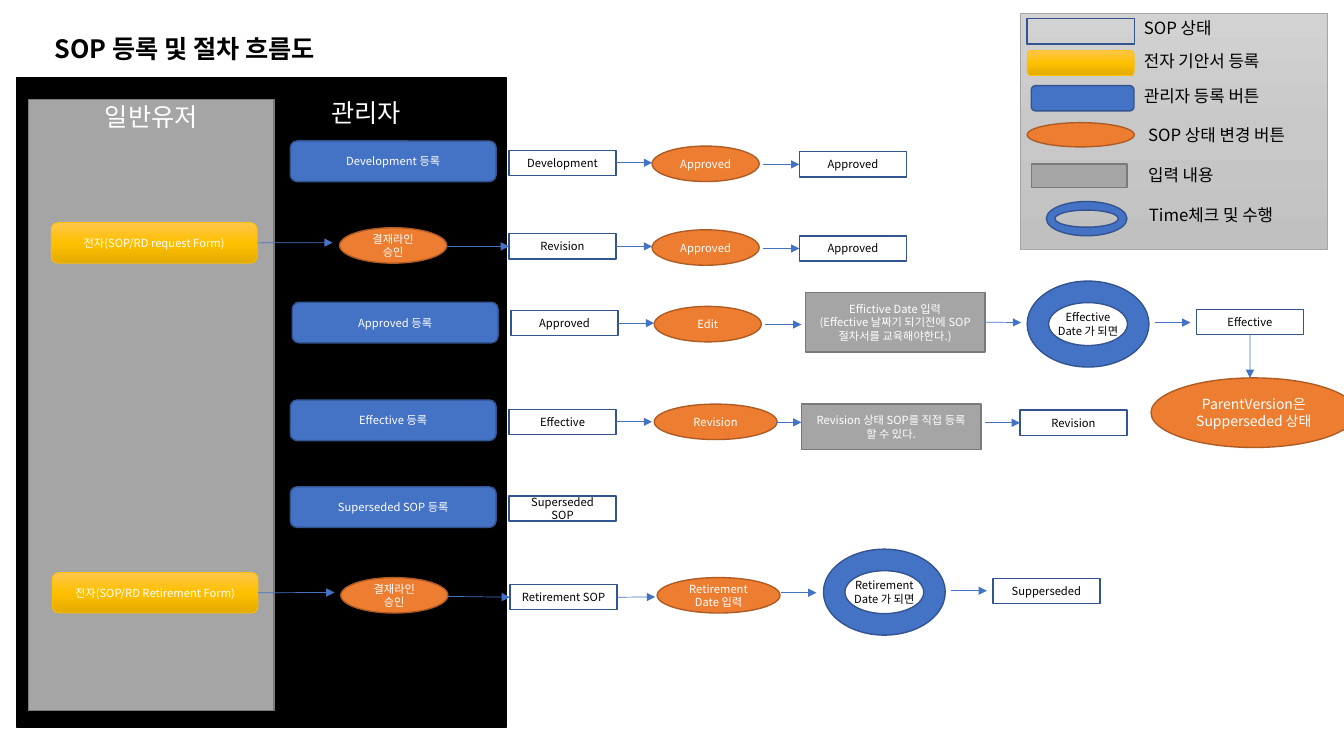
from copy import deepcopy
from pptx import Presentation
from pptx.dml.color import RGBColor
from pptx.enum.shapes import MSO_CONNECTOR as LINK, MSO_SHAPE as SHAPE
from pptx.enum.text import MSO_ANCHOR as ANCHOR, PP_ALIGN as ALIGN
from pptx.oxml.ns import qn
from pptx.util import Pt

FONT = "Noto Sans CJK KR"
BLACK = RGBColor(0x00, 0x00, 0x00)
WHITE = RGBColor(0xFF, 0xFF, 0xFF)
BLUE = RGBColor(0x44, 0x72, 0xC4)
NAVY = RGBColor(0x32, 0x54, 0x91)
ORANGE = RGBColor(0xED, 0x7D, 0x31)
RUST = RGBColor(0xAF, 0x5C, 0x24)
GRAY = RGBColor(0xA5, 0xA5, 0xA5)
DARK_GRAY = RGBColor(0x7A, 0x7A, 0x7A)
GOLD = RGBColor(0xFF, 0xC0, 0x00)
GOLD_FADE = (RGBColor(0xFF, 0xC6, 0x4B), GOLD, RGBColor(0xE3, 0xAB, 0x00))
SILVER_FADE = (RGBColor(0xD2, 0xD2, 0xD2), RGBColor(0xC8, 0xC8, 0xC8), RGBColor(0xC0, 0xC0, 0xC0))

TITLE = "SOP 등록 및 절차 흐름도"

# kind: preset, fill, line, line width, text colour, usual width, usual height
KINDS = {
    "state": (SHAPE.RECTANGLE, None, NAVY, 1, BLACK, 76.5, 18),
    "form": (SHAPE.ROUNDED_RECTANGLE, GOLD_FADE, GOLD, 0.5, WHITE, 147, 29),
    "button": (SHAPE.ROUNDED_RECTANGLE, BLUE, NAVY, 1, WHITE, 147, 29),
    "change": (SHAPE.OVAL, ORANGE, RUST, 1, WHITE, 76.5, 25.3),
    "note": (SHAPE.FLOWCHART_PROCESS, GRAY, DARK_GRAY, 1, WHITE, 128.2, 42.5),
    "check": (SHAPE.DONUT, BLUE, NAVY, 1, BLACK, 87, 61.4),
    "admin panel": (SHAPE.RECTANGLE, BLACK, BLACK, 1, WHITE, 349.2, 464.4),
    "user panel": (SHAPE.RECTANGLE, GRAY, DARK_GRAY, 1, WHITE, 175.7, 436.3),
    "legend panel": (SHAPE.RECTANGLE, SILVER_FADE, GRAY, 0.5, BLACK, 219.6, 168.5),
}

# kind, text, left, middle, then any unusual size
STEPS = [
    ("button", "Development 등록", 207.4, 115.2),
    ("state", "Development", 363.6, 116.3),
    ("change", "Approved", 465.8, 117),
    ("state", "Approved", 571, 117.4),
    ("form", "전자(SOP/RD request Form)", 36.7, 173.5),
    ("change", "결재라인 승인", 242.6, 175.3),
    ("state", "Revision", 363.6, 176),
    ("change", "Approved", 465.8, 176.8),
    ("state", "Approved", 571, 177.5),
    ("button", "Approved 등록", 208.8, 230.4),
    ("state", "Approved", 365, 230.8),
    ("change", "Edit", 467.3, 231.5),
    ("note", "Effictive Date 입력\n(Effective 날짜기 되기전에 SOP절차서를 교육해야한다.)", 575.3, 230.1),
    ("check", "Effective Date 가 되면", 733.7, 231.5),
    ("state", "Effective", 854.6, 230),
    ("button", "Effective 등록", 207.4, 300.2),
    ("state", "Effective", 363.6, 301.3),
    ("change", "Revision", 467.3, 301.3, 87.8),
    ("note", "Revision 상태 SOP를 직접 등록 할 수 있다.", 572.4, 304.9, 128.2, 32.4),
    ("state", "Revision", 728.6, 302),
    ("button", "Superseded SOP 등록", 207.4, 362.2),
    ("state", "Superseded SOP", 363.6, 363.2),
    ("form", "전자(SOP/RD Retirement Form)", 37.4, 423.4),
    ("change", "결재라인 승인", 243.4, 425.2),
    ("state", "Retirement SOP", 364.3, 426.6),
    ("change", "Retirement Date 입력", 469.4, 425.2, 87.8),
    ("check", "Retirement Date 가 되면", 588.2, 423),
    ("state", "Supperseded", 709.2, 422.3),
]
OUTCOME = ("change", "ParentVersion은 Supperseded 상태", 822.2, 294.8, 146.9, 49.7)

# start x, end x, y
FLOWS = [
    (440, 465.8, 116.3), (545, 571, 117.4),
    (184, 237.6, 173.3), (319, 363.6, 176), (440, 465.8, 176), (545, 571, 177.5),
    (441.4, 467.3, 230.8), (546.5, 572.4, 231.8), (703.5, 729.4, 230.4), (825.1, 850.3, 230.4),
    (440, 465.8, 301.3), (554.4, 572.4, 301.7), (703.4, 728.6, 302),
    (185, 239, 423.2), (319.7, 364.3, 426), (441.4, 468, 426.4),
    (558, 583.2, 423.4), (679, 704.9, 422),
]
OUTCOME_FLOW = (892.8, 239, 892.8, 270)

# kind, label, left, middle, width, height, label left, label top
LEGEND = [
    ("state", "SOP 상태", 733.7, 22.4, 76.5, 18, 810, 9.4),
    ("form", "전자 기안서 등록", 733.7, 45, 76.5, 18, 810, 32.4),
    ("button", "관리자 등록 버튼", 736.6, 70.2, 73.4, 18, 810, 57.6),
    ("change", "SOP 상태 변경 버튼", 733.7, 96.3, 76.5, 17.3, 813, 85.7),
    ("note", "입력 내용", 736.6, 125.5, 68.4, 16.6, 813, 114.5),
    ("check", "Time체크 및 수행", 747.4, 156.2, 57.6, 24.5, 813.6, 142.6),
]


def write(frame, text, size=8, color=BLACK, bold=False, align=ALIGN.CENTER, anchor=ANCHOR.MIDDLE):
    frame.word_wrap = True
    frame.vertical_anchor = anchor
    frame.text = text
    for paragraph in frame.paragraphs:
        paragraph.alignment = align
        paragraph.line_spacing = 1.0
        for run in paragraph.runs:
            run.font.size, run.font.bold, run.font.name = Pt(size), bold, FONT
            run.font.color.rgb = color
            east_asian = run._r.get_or_add_rPr().makeelement(qn("a:ea"), {"typeface": FONT})
            run._r.get_or_add_rPr().append(east_asian)


def fade(shape, colors):
    shape.fill.gradient()
    shape.fill.gradient_angle = 270
    stop_list = shape._element.spPr.find(".//" + qn("a:gsLst"))
    stop_list.append(deepcopy(stop_list[0]))
    for index, (stop, color) in enumerate(zip(shape.fill.gradient_stops, colors)):
        stop.position = index / 2
        stop.color.rgb = color


def draw(kind, text, left, middle, width=None, height=None, size=8, anchor=ANCHOR.MIDDLE):
    preset, fill, line, line_width, text_color, usual_width, usual_height = KINDS[kind]
    width, height = width or usual_width, height or usual_height
    shape = slide.shapes.add_shape(preset, Pt(left), Pt(middle - height / 2), Pt(width), Pt(height))
    shape.shadow.inherit = False
    if fill is None:
        shape.fill.background()
    elif isinstance(fill, RGBColor):
        shape.fill.solid()
        shape.fill.fore_color.rgb = fill
    else:
        fade(shape, fill)
    shape.line.color.rgb = line
    shape.line.width = Pt(line_width)
    if text:
        write(shape.text_frame, text, size=size, color=text_color, anchor=anchor)
    return shape


def side_at(boxes, x, y):
    for box in boxes:
        center, middle = box.left + box.width / 2, box.top + box.height / 2
        sides = ((center, box.top), (box.left, middle),
                 (center, box.top + box.height), (box.left + box.width, middle))
        for site, (side_x, side_y) in enumerate(sides):
            if abs(side_x - Pt(x)) < Pt(2) and abs(side_y - Pt(y)) < Pt(2):
                return box, site
    return None


def arrow(boxes, x1, y1, x2, y2):
    link = slide.shapes.add_connector(LINK.STRAIGHT, Pt(x1), Pt(y1), Pt(x2), Pt(y2))
    link.line.color.rgb = BLUE
    link.line.width = Pt(0.5)
    line = link.line._get_or_add_ln()
    line.append(line.makeelement(qn("a:tailEnd"), {"type": "triangle"}))
    properties = link._element.spPr
    properties.append(properties.makeelement(qn("a:effectLst"), {}))
    start, end = side_at(boxes, x1, y1), side_at(boxes, x2, y2)
    if start:
        link.begin_connect(*start)
    if end:
        link.end_connect(*end)


deck = Presentation()
deck.slide_width, deck.slide_height = Pt(960), Pt(540)
slide = deck.slides.add_slide(deck.slide_layouts[5])

title = slide.shapes.title
title.left, title.top, title.width, title.height = Pt(31.7), Pt(20.2), Pt(857.5), Pt(28.8)
write(title.text_frame, TITLE, size=18, bold=True, align=ALIGN.LEFT)

admin = draw("admin panel", "관리자", 12.2, 287.6, size=18, anchor=ANCHOR.TOP)
admin.text_frame.margin_left, admin.text_frame.margin_right = Pt(149), Pt(0)
admin.text_frame.margin_top = Pt(14)
user = draw("user panel", "일반유저", 20.2, 289.4, size=18, anchor=ANCHOR.TOP)
user.text_frame.margin_top = Pt(1)

steps = [(step[0], draw(*step)) for step in STEPS]
draw(*OUTCOME, size=10)
boxes = [box for kind, box in steps if kind not in ("change", "check")]
for start_x, end_x, y in FLOWS:
    arrow(boxes, start_x, y, end_x, y)
arrow(boxes, *OUTCOME_FLOW)

draw("legend panel", "", 728.6, 93.6)
for kind, label, left, middle, width, height, label_left, label_top in LEGEND:
    draw(kind, "", left, middle, width, height)
    caption = slide.shapes.add_textbox(Pt(label_left), Pt(label_top), Pt(124), Pt(21.6))
    write(caption.text_frame, label, size=12, align=ALIGN.LEFT, anchor=ANCHOR.TOP)

deck.save("out.pptx")
